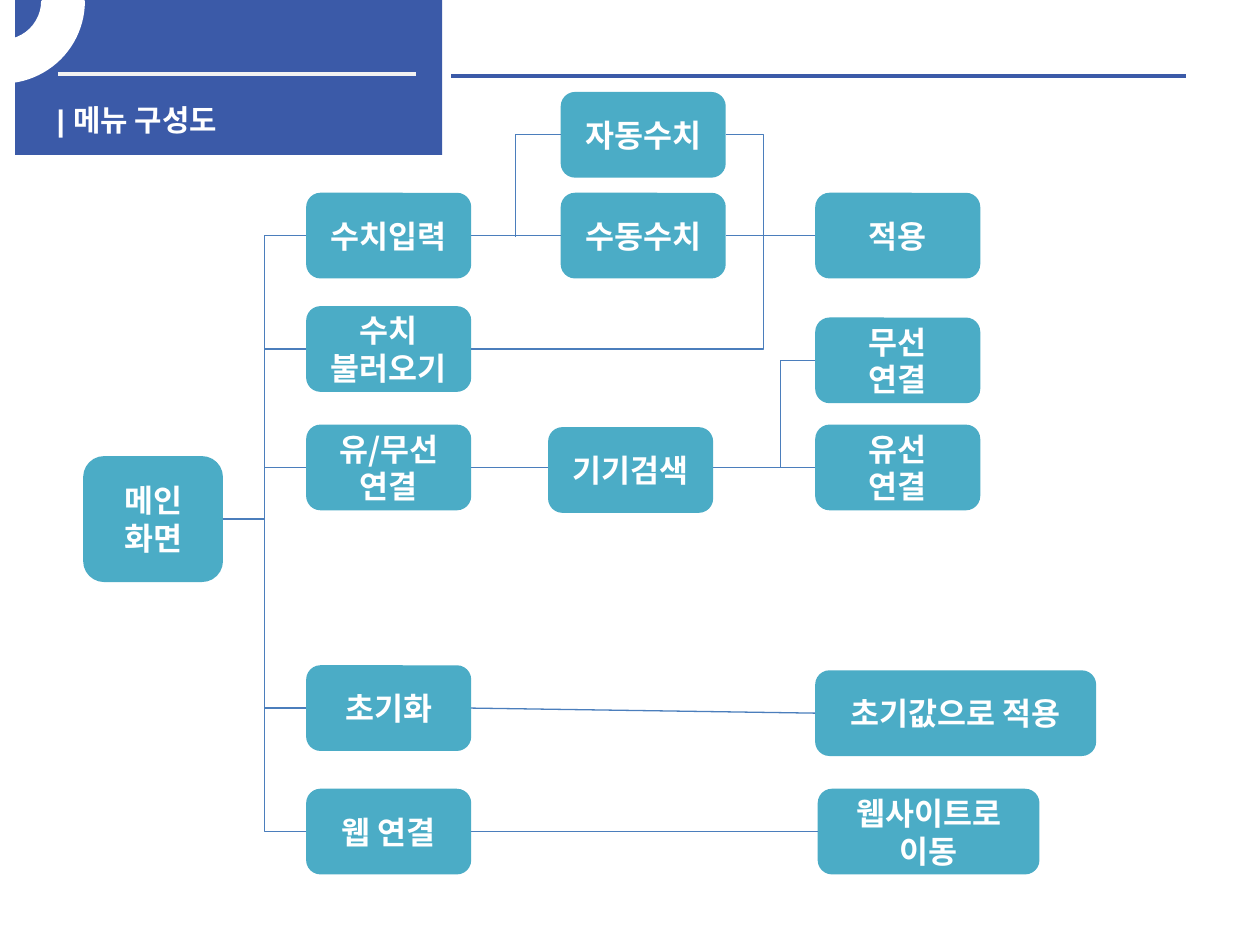
import pptx
import pptx.dml.color
import pptx.enum.shapes
import pptx.enum.text
import pptx.oxml
import pptx.oxml.ns
import pptx.util

SHAPE = pptx.enum.shapes.MSO_SHAPE
CONNECTOR = pptx.enum.shapes.MSO_CONNECTOR
ALIGN = pptx.enum.text.PP_ALIGN
ANCHOR = pptx.enum.text.MSO_ANCHOR
NO_FIT = pptx.enum.text.MSO_AUTO_SIZE.NONE

COLORS = {"band": "3B5AA8", "node": "4BACC6", "link": "4B7EBC",
          "rule": "F2F2F2", "white": "FFFFFF"}
COLUMNS, ROWS = 100, 75
KOREAN_FONT = "Noto Sans CJK KR"
LEFT_SITE, RIGHT_SITE = 1, 3


def rgb(name):
    return pptx.dml.color.RGBColor.from_string(COLORS[name])


def add_xml(parent, tag, **attributes):
    child = pptx.oxml.parse_xml(f"<{tag} {pptx.oxml.ns.nsdecls('a')}/>")
    for key, value in attributes.items():
        child.set(key, value)
    parent.append(child)


class MenuMap:
    """Slide style and drawing methods; lengths are grid columns and rows."""

    node_font = {"name": KOREAN_FONT, "size": pptx.util.Pt(18), "bold": True}
    title_font = {"name": "Arial", "size": pptx.util.Pt(17), "bold": True}
    node_frame = {"word_wrap": True, "vertical_anchor": ANCHOR.MIDDLE}
    title_frame = {"word_wrap": True, "vertical_anchor": ANCHOR.TOP,
                   "auto_size": NO_FIT}

    def __init__(self, deck):
        self.column = deck.slide_width / COLUMNS
        self.row = deck.slide_height / ROWS
        self.slide = deck.slides.add_slide(deck.slide_layouts[5])

    def place(self, *lengths):
        """Turn alternating columns and rows into slide lengths."""
        units = (self.column, self.row) * 2
        return [round(length * unit) for length, unit in zip(lengths, units)]

    def label(self, shape, text, frame_format, font_format, align):
        frame = shape.text_frame
        frame.text = text
        for key, value in frame_format.items():
            setattr(frame, key, value)
        for paragraph in frame.paragraphs:
            paragraph.alignment = align
            for run in paragraph.runs:
                for key, value in font_format.items():
                    setattr(run.font, key, value)
                run.font.color.rgb = rgb("white")
                add_xml(run._r.get_or_add_rPr(), "a:ea", typeface=KOREAN_FONT)

    def title(self, text, *box):
        title = self.slide.shapes.title
        title.left, title.top, title.width, title.height = self.place(*box)
        self.label(title, text, self.title_frame, self.title_font, ALIGN.LEFT)
        tree = title._element.getparent()
        tree.append(title._element)  # in front of the band

    def block(self, kind, color, *box):
        block = self.slide.shapes.add_shape(kind, *self.place(*box))
        block.shadow.inherit = False
        block.fill.solid()
        block.fill.fore_color.rgb = rgb(color)
        block.line.fill.background()
        return block

    def corner_arc(self, *box):
        arc = self.block(SHAPE.BLOCK_ARC, "white", *box)
        for index, value in enumerate((161.587, 0, 0.25)):
            arc.adjustments[index] = value
        arc._element.spPr.xfrm.set("flipV", "1")
        arc.line.color.rgb = rgb("white")
        arc.line.width = pptx.util.Pt(2)

    def node(self, text, left, top, width=13.1, height=6.8):
        node = self.block(SHAPE.ROUNDED_RECTANGLE, "node", left, top, width, height)
        self.label(node, text, self.node_frame, self.node_font, ALIGN.CENTER)
        return node

    def line(self, *ends, color="link", width=0.75, bend=None):
        """Draw a straight line, or an elbow that turns at the share bend."""
        kind = CONNECTOR.STRAIGHT if bend is None else CONNECTOR.ELBOW
        line = self.slide.shapes.add_connector(kind, *self.place(*ends))
        line.line.color.rgb = rgb(color)
        line.line.width = pptx.util.Pt(width)
        add_xml(line._element.spPr, "a:effectLst")
        if bend is not None:
            guides = line._element.spPr.prstGeom.get_or_add_avLst()
            add_xml(guides, "a:gd", name="adj1", fmla=f"val {round(bend * 100000)}")
        return line

    def link(self, source, target, bend=None):
        """Join the right side of one node to the left side of another."""
        line = self.line(0, 0, 0, 0, bend=bend)
        line.begin_connect(source, RIGHT_SITE)
        line.end_connect(target, LEFT_SITE)


def main():
    deck = pptx.Presentation()
    deck.slide_width, deck.slide_height = pptx.util.Inches(10), pptx.util.Inches(7.5)
    menu = MenuMap(deck)

    menu.block(SHAPE.RECTANGLE, "band", 1.2, 0, 33.9, 12.3)
    menu.line(4.6, 5.9, 33, 5.9, color="rule", width=2.25)
    menu.line(35.8, 6, 94.1, 6, color="band", width=2.25)
    menu.title("| 메뉴 구성도", 3.5, 7.6, 32.3, 3)
    menu.corner_arc(-6.3, -6.3, 12.9, 12.8)

    home = menu.node("메인 화면", 6.6, 36.2, 11.1, 10)
    menu_column, value_column, result_column = 24.3, 44.5, 64.7
    entry, load, connection, reset, web = branches = [
        menu.node(text, menu_column, top) for text, top in (
            ("수치입력", 15.3), ("수치\n불러오기", 24.3), ("유/무선\n연결", 33.7),
            ("초기화", 52.8), ("웹 연결", 62.6))]
    menu.node("자동수치", value_column, 7.3)
    manual = menu.node("수동수치", value_column, 15.3)
    apply, wireless, wired = [
        menu.node(text, result_column, top) for text, top in (
            ("적용", 15.3), ("무선\n연결", 25.2), ("유선\n연결", 33.7))]
    defaults = menu.node("초기값으로 적용", result_column, 53.2, 22.3)
    website = menu.node("웹사이트로 이동", 64.9, 62.6, 17.6)

    for branch in branches:
        menu.link(home, branch, bend=0.5)
    for source, target in ((entry, manual), (manual, apply), (connection, wired),
                           (reset, defaults), (web, website)):
        menu.link(source, target)
    menu.link(load, apply, bend=0.85)
    menu.link(connection, wireless, bend=0.9)
    menu.line(40.9, 18.8, 44.5, 10.7, bend=0)
    menu.line(57.6, 10.7, 60.6, 18.7, bend=1)

    menu.node("기기검색", 43.5, 33.9)  # in front of the connection lines

    deck.save("out.pptx")


if __name__ == "__main__":
    main()
